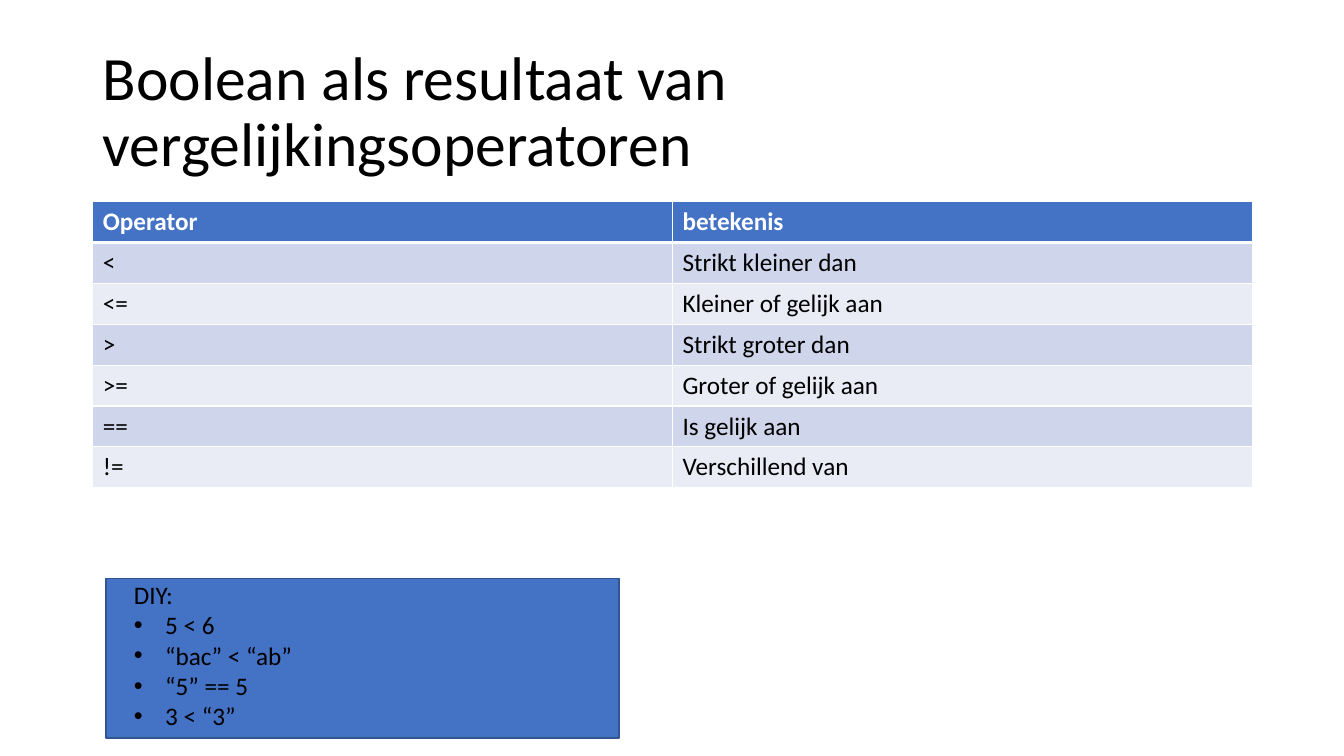
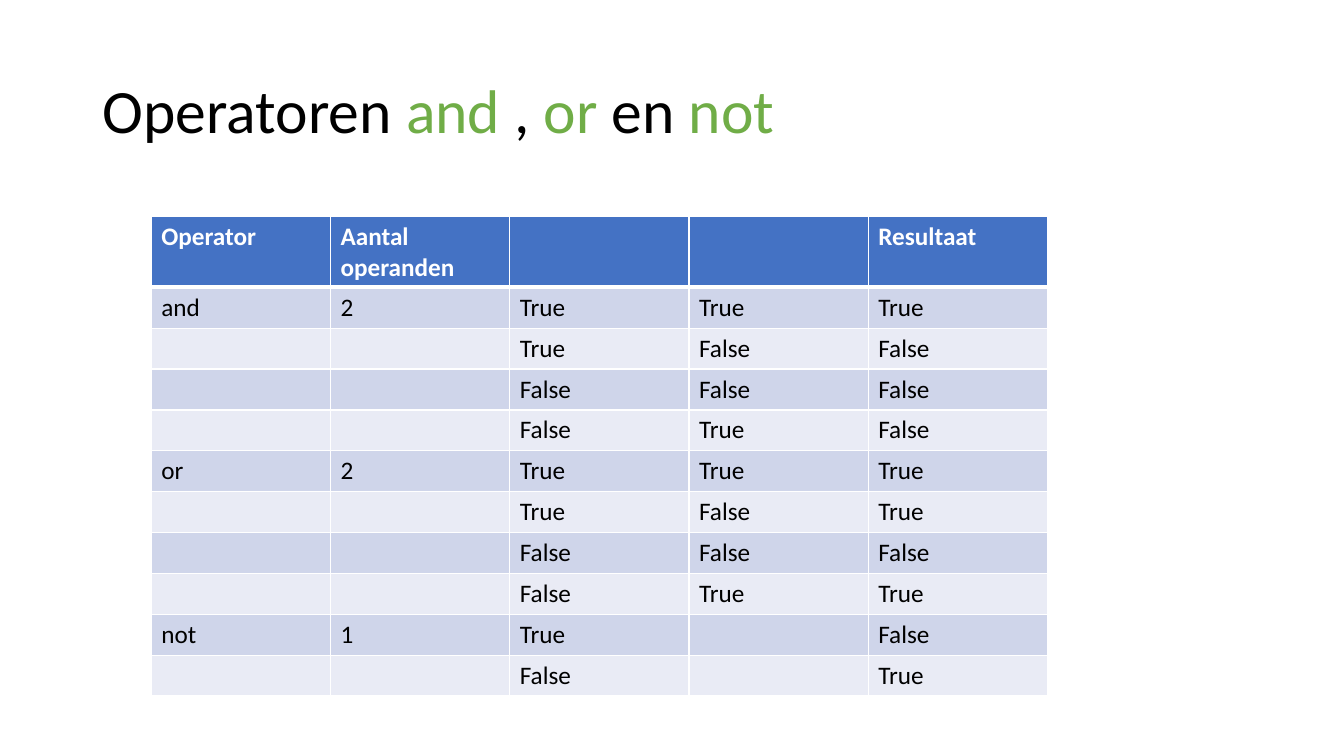
from dataclasses import dataclass

from lxml.etree import SubElement as Sub
from pptx import Presentation
from pptx.dml.color import RGBColor as Rgb
from pptx.enum.shapes import MSO_SHAPE as Shape
from pptx.enum.text import MSO_ANCHOR as Anchor, MSO_AUTO_SIZE as Fit
from pptx.oxml import parse_xml
from pptx.oxml.ns import nsdecls, qn
from pptx.util import Inches, Pt


@dataclass(frozen=True)
class Theme:
    font: str = "Calibri"
    head: int = 44
    body: int = 18
    ink: str = "000000"
    white: str = "FFFFFF"
    blue: str = "4472C4"
    edge: str = "325491"
    green: str = "70AD47"
    bands: tuple = ("CFD5EA", "E9EBF5")
    row: int = Inches(2.84) // 7


class Deck:
    def __init__(self, theme):
        self.theme = theme
        self.file = Presentation()
        self.file.slide_width = Inches(13.33)
        self.file.slide_height = Inches(7.5)
        self.slide = None

    def style(self, run, size, color, bold=False):
        font = run.font
        font.name, font.size, font.bold = self.theme.font, Pt(size), bold
        font.color.rgb = Rgb.from_string(color)

    def text(self, left, top, width, height):
        box = self.slide.shapes.add_textbox(
            Inches(left), Inches(top), Inches(width), Inches(height))
        box.text_frame.word_wrap = True
        return box.text_frame

    def page(self, *parts):
        """Start a slide whose title is made of (text, color) parts."""
        self.slide = self.file.slides.add_slide(self.file.slide_layouts[6])
        frame = self.text(0.92, 0.4, 11.5, 1.45)
        frame.vertical_anchor = Anchor.MIDDLE
        para = frame.paragraphs[0]
        para.line_spacing = 0.9
        for words, color in parts:
            run = para.add_run()
            run.text = words
            self.style(run, self.theme.head, color)

    def border(self, cell, base):
        props = cell._tc.get_or_add_tcPr()
        sides = {"L": 1, "R": 1, "T": 1, "B": base}
        for spot, (side, width) in enumerate(sides.items()):
            props.insert(spot, parse_xml(
                f'<a:ln{side} {nsdecls("a")} w="{Pt(width)}"><a:solidFill>'
                f'<a:srgbClr val="{self.theme.white}"/></a:solidFill></a:ln{side}>'))

    def table(self, left, top, width, rows, head=None):
        """Draw a banded table; head is the height of a taller first row."""
        look = self.theme
        grid = self.slide.shapes.add_table(
            len(rows), len(rows[0]), Inches(left), Inches(top),
            Inches(width), look.row * len(rows)).table
        if head:
            grid.rows[0].height = Inches(head)
        for i, row in enumerate(rows):
            first = i == 0
            fill = look.blue if first else look.bands[(i - 1) % 2]
            for j, words in enumerate(row):
                cell = grid.cell(i, j)
                cell.fill.solid()
                cell.fill.fore_color.rgb = Rgb.from_string(fill)
                # The header has a heavy rule that the next row shares
                self.border(cell, 3 if first else 1)
                if i == 1:
                    cell._tc.tcPr.find(qn("a:lnT")).set("w", str(Pt(3)))
                cell.text_frame.text = words
                for run in cell.text_frame.paragraphs[0].runs:
                    self.style(run, look.body,
                               look.white if first else look.ink, first)

    def panel(self, left, top, width, height):
        box = self.slide.shapes.add_shape(
            Shape.RECTANGLE, Inches(left), Inches(top),
            Inches(width), Inches(height))
        box.shadow.inherit = False
        box.fill.solid()
        box.fill.fore_color.rgb = Rgb.from_string(self.theme.blue)
        box.line.color.rgb = Rgb.from_string(self.theme.edge)
        box.line.width = Pt(1)

    def bullet(self, para):
        props = para._p.get_or_add_pPr()
        props.set("marL", str(Inches(0.31)))
        props.set("indent", str(-Inches(0.31)))
        Sub(props, qn("a:buFont")).set("typeface", "Arial")
        Sub(props, qn("a:buChar")).set("char", "•")

    def tasks(self, left, top, width, height, lead, items):
        """Write a lead line with a bullet list below it."""
        frame = self.text(left, top, width, height)
        frame.auto_size = Fit.SHAPE_TO_FIT_TEXT
        frame.text = "\n".join([lead, *items])
        for i, para in enumerate(frame.paragraphs):
            if i:
                self.bullet(para)
            self.style(para.runs[0], self.theme.body, self.theme.ink)


def compare(deck):
    deck.page(("Boolean als resultaat van vergelijkingsoperatoren", deck.theme.ink))
    deck.table(0.92, 2, 11.5, [
        ("Operator", "betekenis"),
        ("<", "Strikt kleiner dan"),
        ("<=", "Kleiner of gelijk aan"),
        (">", "Strikt groter dan"),
        (">=", "Groter of gelijk aan"),
        ("==", "Is gelijk aan"),
        ("!=", "Verschillend van"),
    ])
    # Exercise
    deck.panel(1.05, 5.74, 5.09, 1.58)
    deck.tasks(1.23, 5.7, 2.52, 1.62, "DIY:",
               ["5 < 6", "“bac” < “ab”", "“5” == 5", "3 < “3”"])


def logic(deck):
    ink, green = deck.theme.ink, deck.theme.green
    deck.page(("Operatoren ", ink), ("and", green), (" , ", ink),
              ("or", green), (" en ", ink), ("not", green))
    # Truth table
    rows = [("Operator", "Aantal operanden", "", "", "Resultaat")]
    pairs = [(True, True), (True, False), (False, False), (False, True)]
    for name, test in (("and", all), ("or", any)):
        for i, pair in enumerate(pairs):
            lead = ("", "") if i else (name, "2")
            rows.append((*lead, *map(str, pair), str(test(pair))))
    rows += [("not", "1", "True", "", "False"), ("", "", "False", "", "True")]
    deck.table(1.5, 2.15, 8.89, rows, head=0.7)


def main():
    deck = Deck(Theme())
    compare(deck)
    logic(deck)
    deck.file.save("out.pptx")


if __name__ == "__main__":
    main()
